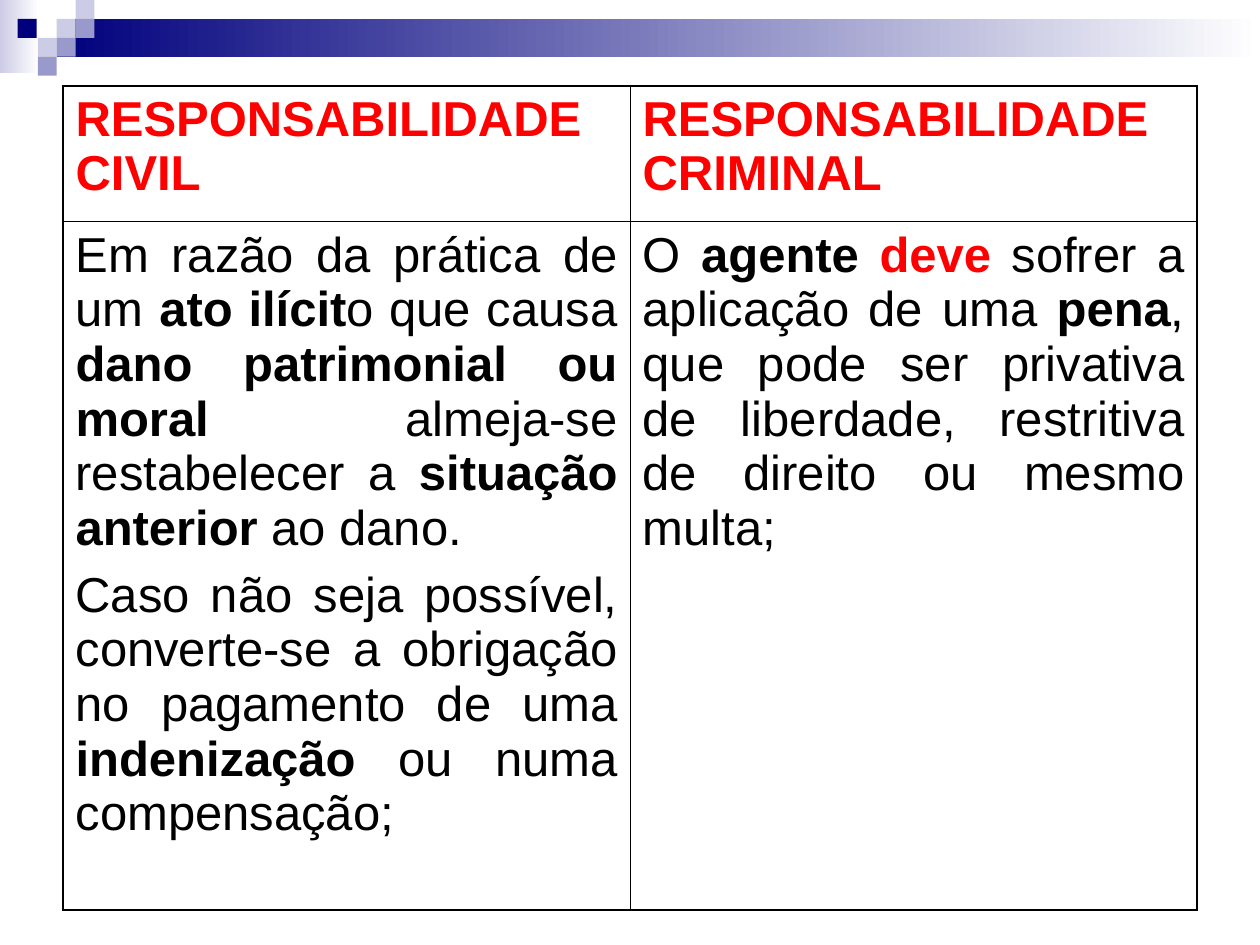
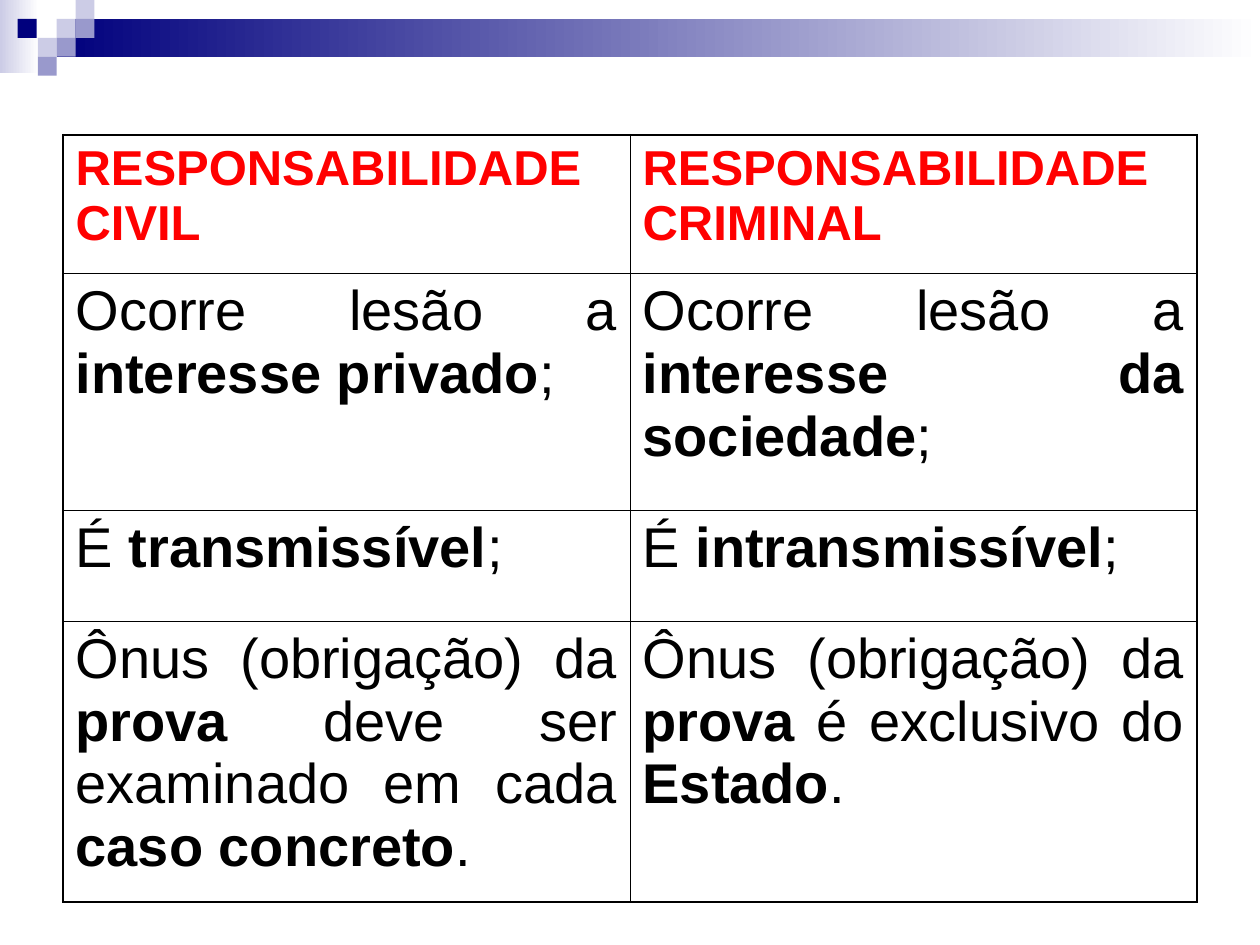
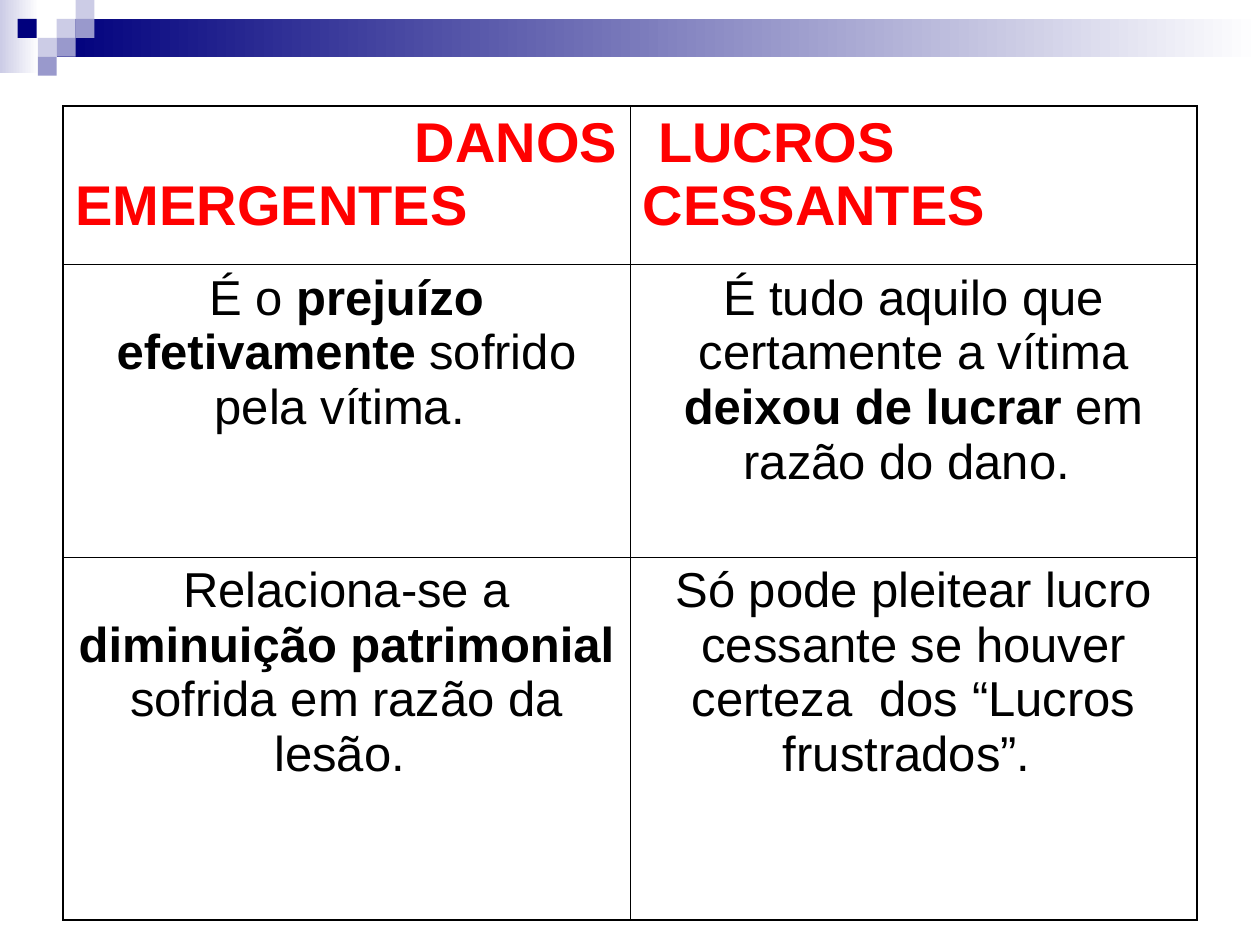
"""Build three slides that compare kinds of liability and damage."""
from dataclasses import dataclass

from lxml.etree import SubElement
from pptx import Presentation
from pptx.dml.color import RGBColor as Rgb
from pptx.enum.shapes import MSO_SHAPE as Form
from pptx.enum.text import PP_ALIGN as Align
from pptx.oxml.ns import qn
from pptx.util import Inches, Pt


@dataclass(frozen=True)
class Theme:
    font: str = "Arial"
    big: int = 32
    mid: int = 28
    gap: int = 7
    ink: str = "000000"
    red: str = "FF0000"
    navy: str = "00007D"
    lilac: str = "9999CC"
    pale: str = "CCCCE6"
    white: str = "FFFFFF"
    edge: float = 1.08
    rule: float = 0.45


LOOK = Theme()
LEFT, JUST, MID = Align.LEFT, Align.JUSTIFY, Align.CENTER
X, WIDE = 0.5, 4.5
TILE = 0.15

FADES = [
    ((0, 0, 0.31, 0.58), LOOK.pale),
    ((0.45, 0.15, 9.55, 0.3), LOOK.navy),
]
TILES = [
    (0.45, 0.15, LOOK.pale),
    (0.6, 0, LOOK.pale),
    (0.6, 0.15, LOOK.lilac),
    (0.3, 0.3, LOOK.pale),
    (0.14, 0.15, LOOK.navy),
    (0.45, 0.3, LOOK.lilac),
    (0.3, 0.45, LOOK.lilac),
]

# Asterisks enclose bold text; a leading "!" turns that part red.
KINDS = ["*!RESPONSABILIDADE CIVIL*", "*!RESPONSABILIDADE CRIMINAL*"]
SLIDES = [
    (0.68, [
        (1.08, LOOK.mid, (LEFT, LEFT), KINDS),
        (5.46, LOOK.mid, (JUST, JUST), [
            "Em razão da prática de um *ato ilícit*o que causa "
            "*dano patrimonial ou moral *almeja-se restabelecer a "
            "*situação anterior* ao dano.\n"
            "Caso não seja possível, converte-se a obrigação no pagamento "
            "de uma *indenização* ou numa compensação;",
            "O *agente **!deve *sofrer a aplicação de uma *pena*, que pode "
            "ser privativa de liberdade, restritiva de direito ou mesmo "
            "multa;",
        ]),
    ]),
    (1.07, [
        (1.1, LOOK.mid, (LEFT, LEFT), KINDS),
        (1.88, LOOK.big, (JUST, JUST), [
            "Ocorre lesão a *interesse privado*;",
            "Ocorre lesão a *interesse da sociedade*;",
        ]),
        (0.88, LOOK.big, (JUST, JUST), [
            "É *transmissível*;",
            "É *intransmissível*;",
        ]),
        (2.23, LOOK.big, (JUST, JUST), [
            "Ônus (obrigação) da *prova* deve ser examinado em cada "
            "*caso concreto*.",
            "Ônus (obrigação) da *prova* é exclusivo do *Estado*.",
        ]),
    ]),
    (0.84, [
        (1.26, LOOK.big, (JUST, LEFT), [
            "*! DANOS EMERGENTES*",
            "*! LUCROS CESSANTES*",
        ]),
        (2.32, LOOK.mid, (MID, MID), [
            "É o *prejuízo efetivamente *sofrido pela vítima. ",
            "É tudo aquilo que certamente a vítima *deixou de lucrar *em "
            "razão do dano. ",
        ]),
        (2.88, LOOK.mid, (MID, MID), [
            "Relaciona-se a *diminuição patrimonial* sofrida em razão da "
            "lesão. ",
            "Só pode pleitear lucro cessante se houver certeza  dos "
            "“Lucros frustrados”. ",
        ]),
    ]),
]


def add_box(slide, place, tint, fade=False):
    box = slide.shapes.add_shape(Form.RECTANGLE, *map(Inches, place))
    box.shadow.inherit = False
    box.line.fill.background()
    if fade:
        box.fill.gradient()
        box.fill.gradient_angle = 0
        for stop, hue in zip(box.fill.gradient_stops, (tint, LOOK.white)):
            stop.color.rgb = Rgb.from_string(hue)
    else:
        box.fill.solid()
        box.fill.fore_color.rgb = Rgb.from_string(tint)


def add_band(slide):
    for place, tint in FADES:
        add_box(slide, place, tint, fade=True)
    for x, y, tint in TILES:
        add_box(slide, (x, y, TILE, TILE), tint)


def set_text(cell, text, size, align):
    frame = cell.text_frame
    for i, line in enumerate(text.split("\n")):
        para = frame.add_paragraph() if i else frame.paragraphs[0]
        para.alignment = align
        if i:
            para.space_before = Pt(LOOK.gap)
        for j, part in enumerate(line.split("*")):
            if not part:
                continue
            run = para.add_run()
            run.text = part.removeprefix("!")
            font = run.font
            font.name, font.size, font.bold = LOOK.font, Pt(size), j % 2 == 1
            tint = LOOK.red if part.startswith("!") else LOOK.ink
            font.color.rgb = Rgb.from_string(tint)


def set_edges(cell, outer):
    props = cell._tc.get_or_add_tcPr()
    for side in "LRTB":
        width = LOOK.edge if side in outer else LOOK.rule
        line = SubElement(props, qn(f"a:ln{side}"), w=str(Pt(width)))
        fill = SubElement(line, qn("a:solidFill"))
        SubElement(fill, qn("a:srgbClr"), val=LOOK.ink)
    cell.fill.background()


def add_grid(slide, top, rows):
    high = sum(row[0] for row in rows)
    place = map(Inches, (X, top, 2 * WIDE, high))
    grid = slide.shapes.add_table(len(rows), 2, *place).table
    grid.first_row = grid.horz_banding = False
    for r, (tall, size, aligns, texts) in enumerate(rows):
        grid.rows[r].height = Inches(tall)
        ends = ("T" if r == 0 else "") + ("B" if r == len(rows) - 1 else "")
        for c, (text, align) in enumerate(zip(texts, aligns)):
            cell = grid.cell(r, c)
            set_text(cell, text, size, align)
            set_edges(cell, ends + "LR"[c])


def main():
    deck = Presentation()
    deck.slide_width, deck.slide_height = Inches(10), Inches(7.5)
    for top, rows in SLIDES:
        slide = deck.slides.add_slide(deck.slide_layouts[6])
        add_band(slide)
        add_grid(slide, top, rows)
    deck.save("out.pptx")


if __name__ == "__main__":
    main()
